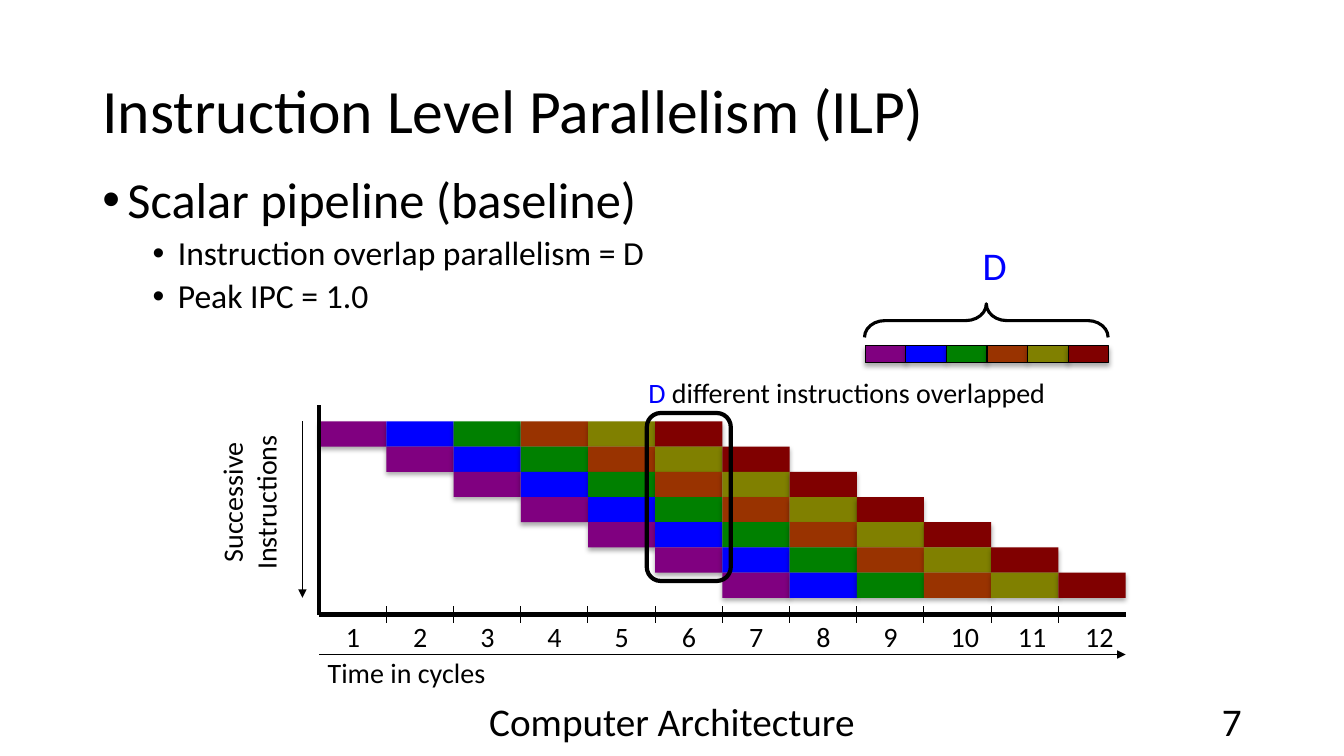
import lxml.etree
import pptx
import pptx.dml.color
import pptx.enum.shapes
import pptx.enum.text
import pptx.oxml.ns
import pptx.util

Pt = pptx.util.Pt
qn = pptx.oxml.ns.qn
MSO_SHAPE = pptx.enum.shapes.MSO_SHAPE
ALIGN = pptx.enum.text.PP_ALIGN
MIDDLE = pptx.enum.text.MSO_ANCHOR.MIDDLE

FONT = "Calibri"
BLACK, BLUE = "000000", "0000FF"
STAGE_COLORS = ["800080", BLUE, "008000", "993300", "808000", "800000"]
INSTRUCTIONS, CYCLES = 7, 12
CHART_LEFT, CHART_TOP = 228, 301
CYCLE_WIDTH, ROW_HEIGHT = 48, 18
AXIS_Y = 439
CHART_RIGHT = CHART_LEFT + CYCLES * CYCLE_WIDTH


def rgb(hex_color):
    return pptx.dml.color.RGBColor.from_string(hex_color)


def format_run(run, size, color=BLACK):
    run.font.name = FONT
    run.font.size = Pt(size)
    run.font.color.rgb = rgb(color)


def format_frame(frame, size, color=BLACK, align=ALIGN.LEFT):
    for paragraph in frame.paragraphs:
        paragraph.alignment = align
        for run in paragraph.runs:
            format_run(run, size, color)


def add_label(slide, text, box, size, color=BLACK, align=ALIGN.LEFT, wrap=False):
    frame = slide.shapes.add_textbox(*map(Pt, box)).text_frame
    frame.word_wrap = wrap
    frame.text = text
    format_frame(frame, size, color, align)
    return frame


def add_title(slide, text):
    title = slide.shapes.title
    title.left, title.top, title.width, title.height = map(Pt, (66, 29, 828, 104))
    frame = title.text_frame
    frame.text = text
    frame.vertical_anchor = MIDDLE
    frame.paragraphs[0].line_spacing = 0.9
    format_frame(frame, 44)


def add_bullets(slide, items, box):
    """Add bulleted lines from (text, level, size, space before) tuples."""
    frame = add_label(slide, "\n".join(item[0] for item in items), box, 24, wrap=True)
    for paragraph, (_, level, size, space) in zip(frame.paragraphs, items):
        paragraph.level = level
        paragraph.line_spacing = 0.9
        paragraph.space_before = Pt(space)
        format_run(paragraph.runs[0], size)
        properties = paragraph._p.get_or_add_pPr()
        properties.set("marL", str(Pt(18 + 36 * level)))
        properties.set("indent", str(Pt(-18)))
        lxml.etree.SubElement(properties, qn("a:buFont"), typeface="Arial")
        lxml.etree.SubElement(properties, qn("a:buChar"), char="•")


def add_outline(slide, preset, box, width, adjustment):
    outline = slide.shapes.add_shape(preset, *map(Pt, box))
    outline.shadow.inherit = False
    outline.fill.background()
    outline.line.color.rgb = rgb(BLACK)
    outline.line.width = Pt(width)
    outline.adjustments[0] = adjustment
    return outline


def add_shadow(shape):
    shape.shadow.inherit = False
    effects = shape._element.spPr.find(qn("a:effectLst"))
    shadow = lxml.etree.SubElement(
        effects, qn("a:outerShdw"), blurRad=str(Pt(3.5)), dist=str(Pt(2.2)),
        dir="5400000", algn="ctr", rotWithShape="0")
    color = lxml.etree.SubElement(shadow, qn("a:srgbClr"), val=BLACK)
    lxml.etree.SubElement(color, qn("a:alpha"), val="32000")


def add_stages(shapes, left, top, width, height, outlined=False):
    """Add one instruction's row of pipeline stages."""
    for index, color in enumerate(STAGE_COLORS):
        stage = shapes.add_shape(MSO_SHAPE.RECTANGLE, Pt(left + index * width),
                                 Pt(top), Pt(width), Pt(height))
        stage.fill.solid()
        stage.fill.fore_color.rgb = rgb(color)
        if outlined:
            stage.line.color.rgb = rgb(BLACK)
            stage.line.width = Pt(0.75)
        else:
            stage.line.fill.background()
        add_shadow(stage)


def add_line(slide, start, end, width=0.75, arrow=False):
    line = slide.shapes.add_connector(
        pptx.enum.shapes.MSO_CONNECTOR.STRAIGHT, *map(Pt, start + end))
    line.line.color.rgb = rgb(BLACK)
    line.line.width = Pt(width)
    properties = line._element.spPr
    if arrow:
        lxml.etree.SubElement(properties.find(qn("a:ln")), qn("a:tailEnd"), type="triangle")
    lxml.etree.SubElement(properties, qn("a:effectLst"))


def add_depth_legend(slide):
    brace = add_outline(slide, MSO_SHAPE.LEFT_BRACE, (692.5, 142, 24, 174), 2.25, 0.604)
    brace.rotation = 90
    add_label(slide, "D", (692.5, 169, 36, 41), 28, BLUE, ALIGN.CENTER)
    add_stages(slide.shapes.add_group_shape().shapes, 618, 247, 29, 12, outlined=True)


def add_axes(slide):
    add_line(slide, (CHART_LEFT, 289.5), (CHART_LEFT, AXIS_Y), 3)
    add_line(slide, (CHART_RIGHT, AXIS_Y), (CHART_LEFT, AXIS_Y), 3)
    add_line(slide, (216, CHART_TOP), (216, 427), arrow=True)
    add_line(slide, (CHART_LEFT, 467.5), (CHART_RIGHT, 467.5), arrow=True)
    for cycle in range(1, CYCLES + 1):
        tick = CHART_LEFT + cycle * CYCLE_WIDTH
        if cycle < CYCLES:
            add_line(slide, (tick, AXIS_Y - 6), (tick, AXIS_Y + 6))
        label_width = 24.5 if cycle < 10 else 34.5
        add_label(slide, str(cycle), (tick - 36, AXIS_Y, label_width, 31.5), 20)
    add_label(slide, "Time in cycles", (227, 465, 130, 31.5), 20)
    instructions = add_label(slide, "Successive\nInstructions", (150, 307, 63, 104),
                             20, align=ALIGN.CENTER)
    instructions._txBody.bodyPr.set("vert", "vert270")


def add_overlap_highlight(slide):
    add_outline(slide, MSO_SHAPE.ROUNDED_RECTANGLE, (462, 295, 60, 120), 3, 0.167)
    caption = add_label(slide, "D", (456, 265, 301, 31.5), 20, BLUE)
    explanation = caption.paragraphs[0].add_run()
    explanation.text = " different instructions overlapped"
    format_run(explanation, 20)


def main():
    deck = pptx.Presentation()
    deck.slide_width, deck.slide_height = Pt(960), Pt(540)
    slide = deck.slides.add_slide(deck.slide_layouts.get_by_name("Title Only"))

    add_title(slide, "Instruction Level Parallelism (ILP)")
    add_bullets(slide, [
        ("Scalar pipeline (baseline)", 0, 36, 10),
        ("Instruction overlap parallelism = D", 1, 24, 5),
        ("Peak IPC = 1.0", 1, 24, 5),
    ], (66, 121.5, 828, 365))
    for text, left, width, align in [("Computer Architecture", 318, 324, ALIGN.CENTER),
                                     ("7", 678, 216, ALIGN.RIGHT)]:
        footer = add_label(slide, text, (left, 500.5, width, 29), 28, align=align, wrap=True)
        footer.vertical_anchor = MIDDLE

    add_depth_legend(slide)
    for row in range(INSTRUCTIONS):
        add_stages(slide.shapes, CHART_LEFT + row * CYCLE_WIDTH,
                   CHART_TOP + row * ROW_HEIGHT, CYCLE_WIDTH, ROW_HEIGHT)
    add_axes(slide)
    add_overlap_highlight(slide)
    deck.save("out.pptx")


if __name__ == "__main__":
    main()
